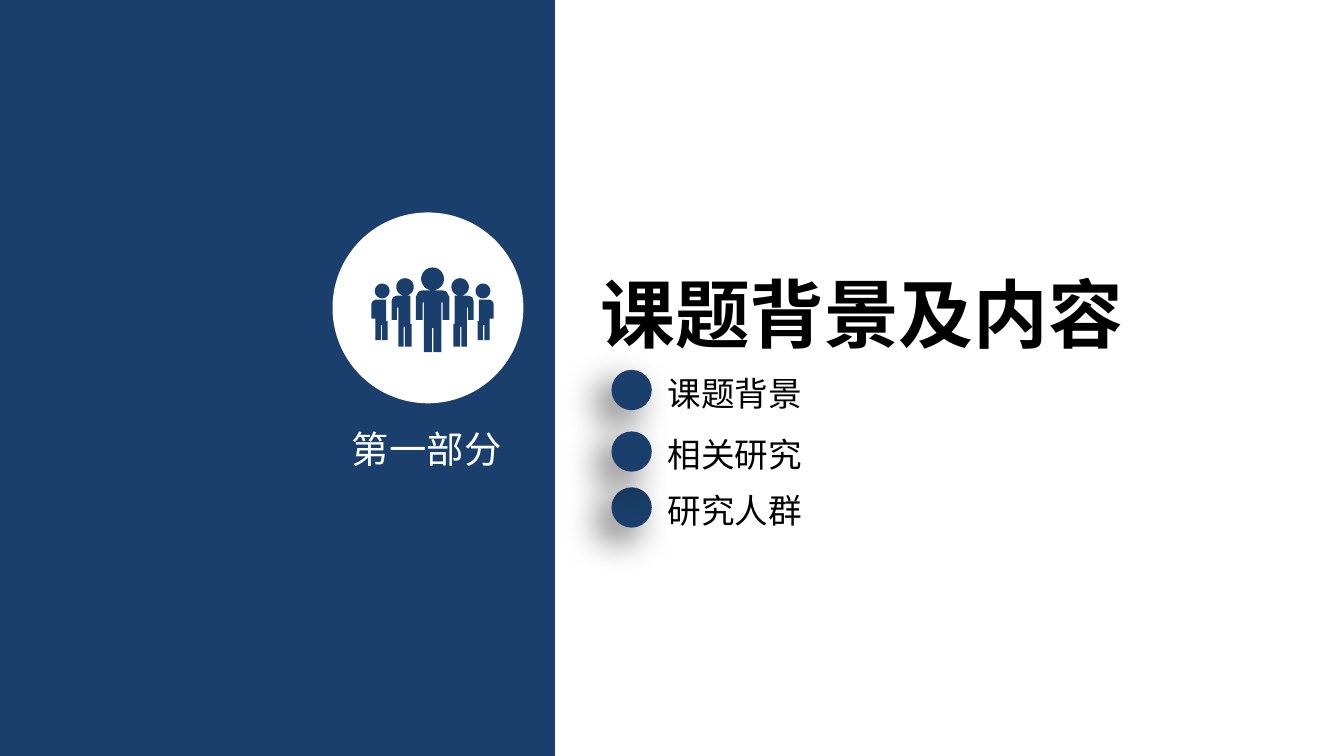
from math import cos, sin, tau
from lxml import etree
from pptx import Presentation
from pptx.dml.color import RGBColor
from pptx.enum.shapes import MSO_SHAPE
from pptx.enum.text import MSO_ANCHOR, MSO_AUTO_SIZE, PP_ALIGN
from pptx.oxml.ns import qn
from pptx.util import Inches, Pt

RECT, OVAL = MSO_SHAPE.RECTANGLE, MSO_SHAPE.OVAL
TOP, LEFT, GROW = MSO_ANCHOR.TOP, PP_ALIGN.LEFT, MSO_AUTO_SIZE.SHAPE_TO_FIT_TEXT
W = 10
H = W * 9 / 16
FONT = "Noto Sans CJK SC"
COLORS = {"navy": "1A3F6C", "white": "FFFFFF", "black": "000000"}

ICON_W, ICON_H = 91, 63
CENTER_BODY = [(53, 39), (53, 26), (52, 26), (52, 63), (46, 63), (46, 45), (45, 45),
               (45, 63), (39, 63), (39, 26), (38, 26), (38, 39), (33, 39), (33, 22),
               (35, 18), (38, 17), (53, 17), (56, 18), (58, 22), (58, 39)]
INNER_BODY = [(30, 42), (30, 59), (25, 59), (25, 44), (24, 44), (24, 59), (20, 59),
              (20, 30), (19, 30), (19, 39), (15, 39), (15, 25), (16, 22), (19, 21),
              (29, 21), (29, 42)]
OUTER_BODY = [(12, 40), (12, 54), (8, 54), (8, 43), (7, 43), (7, 54), (3, 54), (3, 30),
              (3, 38), (0, 38), (0, 27), (1, 25), (3, 24), (11, 24), (11, 40)]


def rgb(name):
    return RGBColor.from_string(COLORS[name])


def paint(s, color):
    s.shadow.inherit = False
    s.fill.solid()
    s.fill.fore_color.rgb = rgb(color)
    s.line.fill.background()
    return s


def add_block(shapes, kind, box, color):
    return paint(shapes.add_shape(kind, *map(Inches, box)), color)


def add_text(shapes, text, box, size=18, color="black", bold=False, wrap=False, inset=None):
    tf = shapes.add_textbox(*map(Inches, box)).text_frame
    tf.word_wrap, tf.auto_size, tf.vertical_anchor = wrap, GROW, TOP
    if inset is not None:
        tf.margin_left = tf.margin_right = tf.margin_top = tf.margin_bottom = Inches(inset)
    p = tf.paragraphs[0]
    p.alignment = LEFT
    r = p.add_run()
    r.text = text
    r.font.name, r.font.size, r.font.bold = FONT, Pt(size), bold
    r.font.color.rgb = rgb(color)
    etree.SubElement(r.font._element, qn("a:ea")).set("typeface", FONT)


def add_shadow(s, alpha=60, blur=20, dist=10, angle=135):
    effects = s._element.spPr.find(qn("a:effectLst"))
    shadow = etree.SubElement(effects, qn("a:outerShdw"), blurRad=str(Pt(blur)),
                              dist=str(Pt(dist)), dir=str(angle * 60000),
                              algn="tr", rotWithShape="0")
    clr = etree.SubElement(shadow, qn("a:srgbClr"), val=COLORS["black"])
    etree.SubElement(clr, qn("a:alpha"), val=str(alpha * 1000))


def head(x, y, r, steps=32):
    return [(x + r * cos(tau * i / steps), y + r * sin(tau * i / steps)) for i in range(steps)]


def add_people(shapes, box):
    x, y, w, h = map(Inches, box)
    side = [INNER_BODY, OUTER_BODY, head(25, 14.5, 6.5), head(8, 17.5, 5.5)]
    mirrored = [[(ICON_W - px, py) for px, py in outline] for outline in side]
    outlines = [CENTER_BODY, head(45.5, 8.5, 8.5)] + side + mirrored
    outlines = [[(px * w / ICON_W, py * h / ICON_H) for px, py in o] for o in outlines]
    builder = shapes.build_freeform(*outlines[0][0])
    for i, outline in enumerate(outlines):
        if i:
            builder.move_to(*outline[0])
        builder.add_line_segments(outline[1:], close=True)
    paint(builder.convert_to_shape(x, y), "navy")


def add_section_panel(shapes, box):
    x, y, w, h = box
    add_block(shapes, RECT, box, "navy")
    add_text(shapes, "第一部分", (x + 0.634 * w, y + 0.564 * h, 1.36, 0.34),
             size=20, color="white", wrap=True, inset=0)
    badge = shapes.add_group_shape().shapes
    left, top = x + 0.599 * w, y + 0.281 * h
    add_block(badge, OVAL, (left, top, 1.42, 1.42), "white")
    add_people(badge, (left + 0.29, top + 0.41, 0.91, 0.63))


def add_contents(shapes, box, items):
    x, y, w, h = box
    add_text(shapes, "课题背景及内容", (x, y, w, 0.77), size=40, bold=True)
    for text, share in items:
        top = y + share * h
        add_text(shapes, text, (x + 0.5, top - 0.03, 1.21, 0.4))
        add_shadow(add_block(shapes, OVAL, (x + 0.18, top, 0.3, 0.3), "navy"))


def main():
    prs = Presentation()
    prs.slide_width, prs.slide_height = Inches(W), Inches(H)
    shapes = prs.slides.add_slide(prs.slide_layouts[6]).shapes
    add_section_panel(shapes, (0, 0, 0.413 * W, H))
    add_contents(shapes, (0.437 * W, 0.345 * H, 0.414 * W, 0.37 * H),
                 [("课题背景", 0.39), ("研究人群", 0.81), ("相关研究", 0.61)])
    prs.save("out.pptx")


if __name__ == "__main__":
    main()
